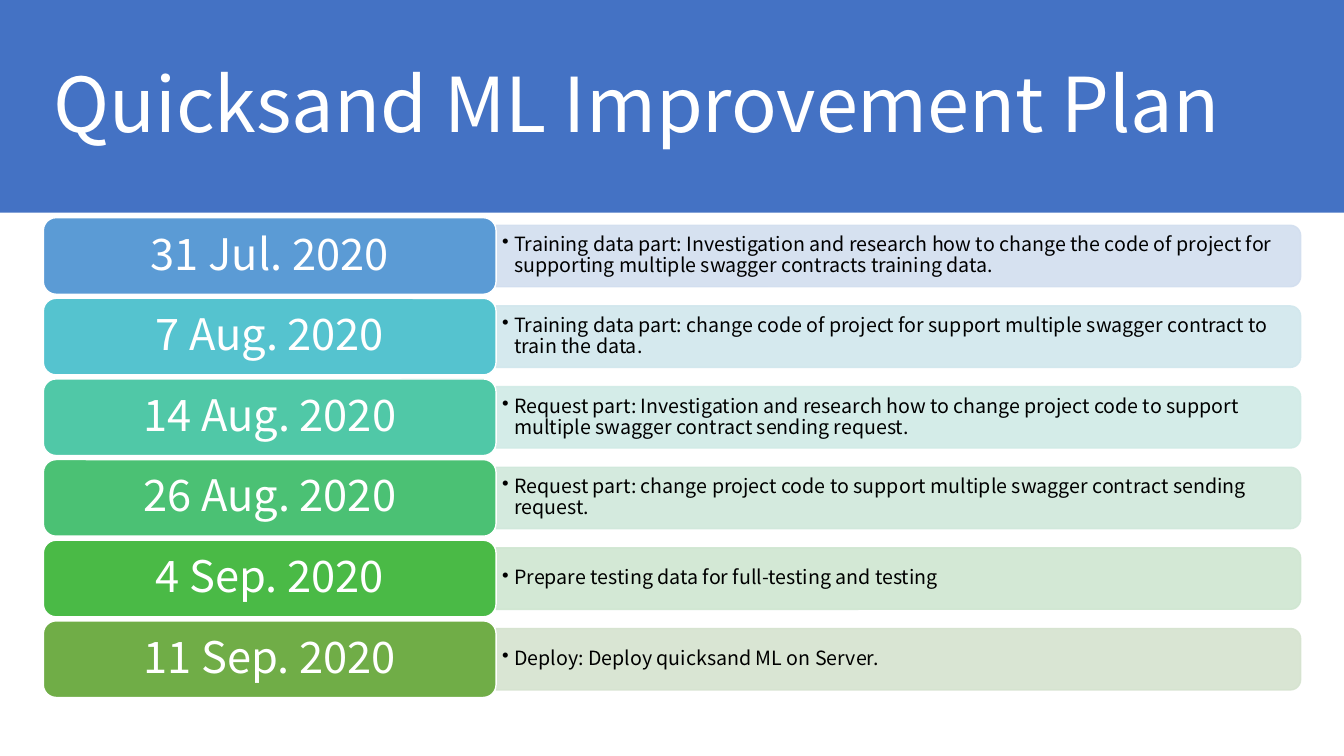
from lxml.etree import SubElement
from pptx import Presentation
from pptx.dml.color import RGBColor
from pptx.enum.shapes import MSO_SHAPE
from pptx.enum.text import MSO_ANCHOR, MSO_AUTO_SIZE, PP_ALIGN
from pptx.oxml.ns import qn
from pptx.util import Inches, Pt

COLORS = {"banner": "4472C4", "white": "FFFFFF", "black": "000000"}
FONT = "Noto Sans CJK SC"

# Date, date colour, bar colour, task
MILESTONES = [
    ("31 Jul. 2020", "5B9BD5", "D2DEEF",
     "Training data part: Investigation and research how to change the code of "
     "project for supporting multiple swagger contracts training data."),
    ("7 Aug. 2020", "55C3CF", "D1E7ED",
     "Training data part: change code of project for support multiple swagger "
     "contract to train the data."),
    ("14 Aug. 2020", "50C8A7", "D0EBE6",
     "Request part: Investigation and research how to change project code to "
     "support multiple swagger contract sending request."),
    ("26 Aug. 2020", "4BC174", "D0E8DB",
     "Request part: change project code to support multiple swagger contract "
     "sending request."),
    ("4 Sep. 2020", "4ABA46", "CFE6D1",
     "Prepare testing data for full-testing and testing"),
    ("11 Sep. 2020", "70AD47", "D5E3CF",
     "Deploy: Deploy quicksand ML on Server."),
]

LEFT, TOP, PITCH = 0.43, 2.16, 0.8
DATE_WIDTH, DATE_HEIGHT = 4.49, 0.76
BAR_WIDTH, BAR_HEIGHT = 7.98, 0.61
TASK_WIDTH, TASK_HEIGHT = 7.95, 0.55


def set_values(target, values):
    """Set every attribute named in a dict of format values."""
    for name, value in values.items():
        setattr(target, name, value)


class PlanSlide:
    """Holds the text style and the current slide."""

    def __init__(self, slide, font):
        self.slide = slide
        self.font = font

    def add_text(self, shape, text, size, color, align=PP_ALIGN.LEFT, inset=(0.1, 0.05)):
        """Fill a shape with one formatted paragraph and return it."""
        horizontal, vertical = map(Inches, inset)
        frame = shape.text_frame
        frame.text = text
        set_values(frame, {
            "word_wrap": True, "auto_size": MSO_AUTO_SIZE.NONE,
            "vertical_anchor": MSO_ANCHOR.MIDDLE,
            "margin_left": horizontal, "margin_right": horizontal,
            "margin_top": vertical, "margin_bottom": vertical,
        })
        paragraph = frame.paragraphs[0]
        set_values(paragraph, {"alignment": align, "line_spacing": 0.9})
        run = paragraph.runs[0]
        set_values(run.font, {"name": self.font, "size": Pt(size)})
        run.font.color.rgb = RGBColor.from_string(color)
        properties = run._r.get_or_add_rPr()
        SubElement(properties, qn("a:ea")).set("typeface", self.font)
        return paragraph

    def box(self, kind, left, top, width, height, fill, line=None):
        """Add a filled preset shape, outlined if a line colour is given."""
        shape = self.slide.shapes.add_shape(
            kind, *map(Inches, (left, top, width, height)))
        shape.shadow.inherit = False
        shape.fill.solid()
        shape.fill.fore_color.rgb = RGBColor.from_string(fill)
        if line:
            shape.line.color.rgb = RGBColor.from_string(line)
            shape.line.width = Pt(1)
        else:
            shape.line.fill.background()
        return shape

    def title(self, text):
        """Place the title placeholder over a full-width banner."""
        banner = self.box(MSO_SHAPE.RECTANGLE, 0, -0.01, 13.33, 2.12, COLORS["banner"])
        title = self.slide.shapes.title
        title._element.addprevious(banner._element)
        set_values(title, {"left": Inches(LEFT), "top": Inches(0.35),
                           "width": Inches(12.48), "height": Inches(1.45)})
        self.add_text(title, text, 54, COLORS["white"])

    def bar(self, left, middle, color):
        """Add a translucent bar with its rounded corners turned to the right."""
        shape = self.box(
            MSO_SHAPE.ROUND_2_SAME_RECTANGLE,
            left + (BAR_WIDTH - BAR_HEIGHT) / 2, middle - BAR_WIDTH / 2,
            BAR_HEIGHT, BAR_WIDTH, color, color)
        shape.rotation = 90
        for color_element in shape._element.spPr.iter(qn("a:srgbClr")):
            SubElement(color_element, qn("a:alpha")).set("val", "90000")

    def task(self, left, middle, text):
        """Add a bulleted task description."""
        text_box = self.slide.shapes.add_textbox(*map(Inches, (
            left, middle - TASK_HEIGHT / 2, TASK_WIDTH, TASK_HEIGHT)))
        paragraph = self.add_text(text_box, text, 14, COLORS["black"], inset=(0.06, 0.03))
        properties = paragraph._p.get_or_add_pPr()
        properties.set("marL", str(Inches(0.12)))
        properties.set("indent", str(Inches(-0.12)))
        SubElement(properties, qn("a:buChar")).set("char", "\u2022")

    def milestone(self, top, date, date_color, bar_color, task):
        """Add one row: the bar, its task and the date."""
        middle = top + DATE_HEIGHT / 2
        bar_left = LEFT + DATE_WIDTH
        self.bar(bar_left, middle, bar_color)
        self.task(bar_left, middle, task)
        date_box = self.box(MSO_SHAPE.ROUNDED_RECTANGLE, LEFT, top,
                            DATE_WIDTH, DATE_HEIGHT, date_color, COLORS["white"])
        self.add_text(date_box, date, 31, COLORS["white"], PP_ALIGN.CENTER, (0.13, 0.06))


def main():
    """Build and save the plan."""
    presentation = Presentation()
    set_values(presentation, {"slide_width": Inches(13.33), "slide_height": Inches(7.5)})
    slide = presentation.slides.add_slide(presentation.slide_layouts[5])
    plan = PlanSlide(slide, FONT)
    plan.title("Quicksand ML Improvement Plan")
    for index, row in enumerate(MILESTONES):
        plan.milestone(TOP + index * PITCH, *row)
    presentation.save("out.pptx")


main()
